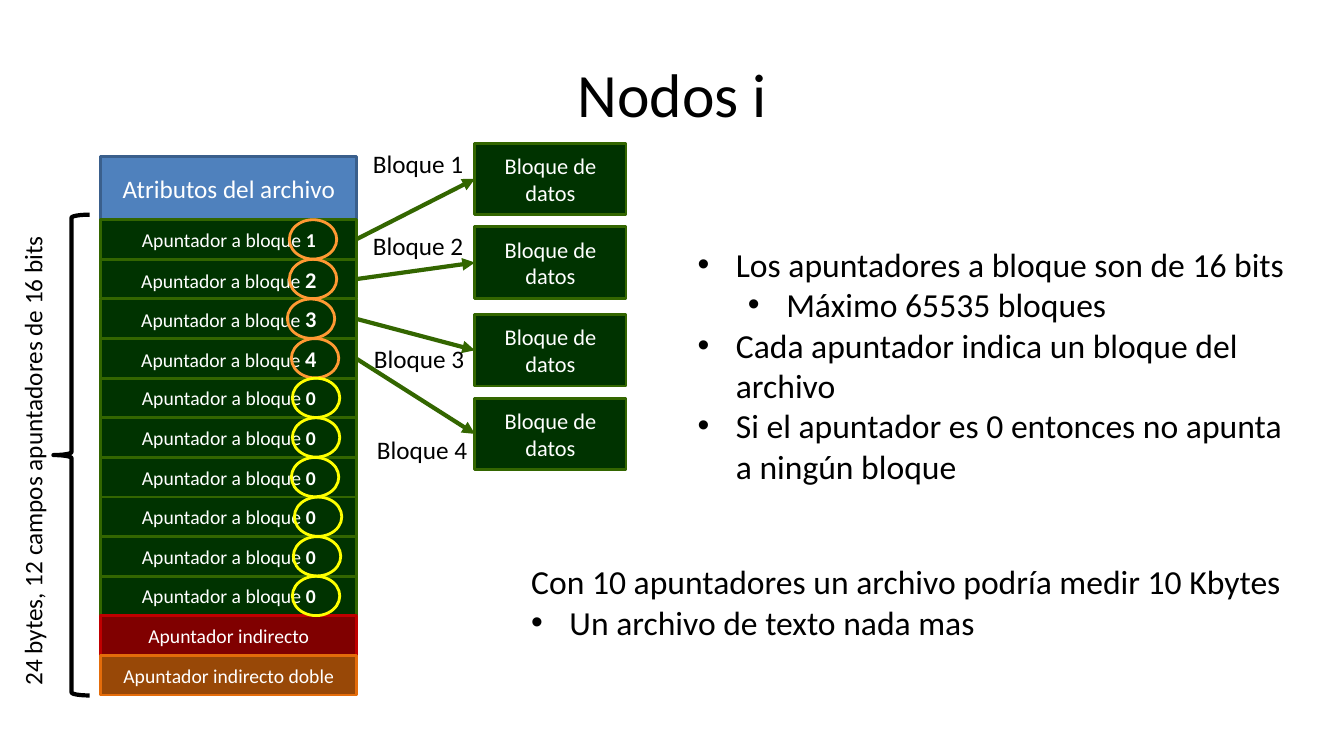
from pptx import Presentation
from pptx.dml.color import RGBColor
from pptx.enum.shapes import MSO_CONNECTOR, MSO_SHAPE
from pptx.enum.text import MSO_ANCHOR, PP_ALIGN
from pptx.oxml.ns import qn
from pptx.util import Inches, Pt
from lxml.etree import SubElement

FONT = "Calibri"
COLORS = {
    "black": "000000", "white": "FFFFFF",
    "blue": "4F81BD", "blue_line": "3A5F8C",
    "green": "003300", "green_line": "336600",
    "red": "800000", "red_line": "C00000",
    "brown": "984807", "brown_line": "E46C0A",
    "used": "FF9933", "empty": "FFFF00",
}
POINTERS = [1, 2, 3, 4, 0, 0, 0, 0, 0, 0]
ROW_HEIGHT = 0.393
HEADER_HEIGHT = 0.63
RING_OFFSETS = [1.87, 1.87, 1.85, 1.89, 1.9, 1.9, 1.89, 1.92, 1.91, 1.9]
DATA_BLOCK_TOPS = [0, 0.83, 1.7, 2.53]
LABEL_PLACES = [(0, 0), (0, 0.82), (0.01, 1.94), (0.04, 2.84)]


def color(name):
    return RGBColor.from_string(COLORS[name])


def add_run(paragraph, text, size, color_name="black", bold=False):
    run = paragraph.add_run()
    run.text = text
    run.font.name = FONT
    run.font.size = Pt(size)
    run.font.bold = bold
    run.font.color.rgb = color(color_name)


def add_outline(slide, kind, box, line, width=2):
    shape = slide.shapes.add_shape(kind, *[Inches(length) for length in box])
    shape.shadow.inherit = False
    shape.fill.background()
    shape.line.color.rgb = color(line)
    shape.line.width = Pt(width)
    return shape


def add_block(slide, box, fill, runs):
    shape = add_outline(slide, MSO_SHAPE.RECTANGLE, box, fill + "_line")
    shape.fill.solid()
    shape.fill.fore_color.rgb = color(fill)
    frame = shape.text_frame
    frame.word_wrap = True
    frame.vertical_anchor = MSO_ANCHOR.MIDDLE
    paragraph = frame.paragraphs[0]
    paragraph.alignment = PP_ALIGN.CENTER
    for text, size, bold in runs:
        add_run(paragraph, text, size, "white", bold)


def add_text(slide, box, lines, size, wrap=True):
    shape = slide.shapes.add_textbox(*[Inches(length) for length in box])
    frame = shape.text_frame
    frame.word_wrap = wrap
    for index, (text, level) in enumerate(lines):
        paragraph = frame.paragraphs[0] if index == 0 else frame.add_paragraph()
        if level is not None:
            add_bullet(paragraph, level)
        add_run(paragraph, text, size)
    return shape


def add_bullet(paragraph, level):
    paragraph.level = level
    properties = paragraph._p.get_or_add_pPr()
    properties.set("marL", str(Inches(0.38 + 0.5 * level)))
    properties.set("indent", str(-Inches(0.38)))
    SubElement(properties, qn("a:buFont")).set("typeface", "Arial")
    SubElement(properties, qn("a:buChar")).set("char", "•")


def add_arrow(slide, start, end):
    points = [Inches(length) for length in (*start, *end)]
    arrow = slide.shapes.add_connector(MSO_CONNECTOR.STRAIGHT, *points)
    arrow.line.color.rgb = color("green_line")
    arrow.line.width = Pt(3)
    SubElement(arrow.line._get_or_add_ln(), qn("a:tailEnd")).set("type", "triangle")
    SubElement(arrow._element.spPr, qn("a:effectLst"))


def add_title(slide, box):
    shape = add_text(slide, box, [("Nodos i", None)], 44)
    shape.text_frame.vertical_anchor = MSO_ANCHOR.MIDDLE
    shape.text_frame.paragraphs[0].alignment = PP_ALIGN.CENTER


def add_inode(slide, left, top, width):
    add_block(slide, (left, top, width, HEADER_HEIGHT), "blue",
              [("Atributos del archivo", 18, False)])
    rows = [("green", [("Apuntador a bloque ", 14, False),
                       (str(number), 16 if number > 1 else 14, True)])
            for number in POINTERS]
    rows.append(("red", [("Apuntador indirecto", 14, False)]))
    rows.append(("brown", [("Apuntador indirecto doble", 14, False)]))
    for index, (fill, runs) in enumerate(rows):
        row_top = top + HEADER_HEIGHT + index * ROW_HEIGHT
        add_block(slide, (left, row_top, width, ROW_HEIGHT), fill, runs)


def add_rings(slide, left, top):
    for index, (number, offset) in enumerate(zip(POINTERS, RING_OFFSETS)):
        box = (left + offset, top + index * ROW_HEIGHT, 0.47, 0.39)
        add_outline(slide, MSO_SHAPE.OVAL, box, "used" if number else "empty")


def add_data_blocks(slide, left, top, pointer_right, pointer_top):
    width, height = 1.5, 0.71
    for index, offset in enumerate(DATA_BLOCK_TOPS):
        block_top = top + offset
        add_block(slide, (left, block_top, width, height), "green",
                  [("Bloque de datos", 16, False)])
        add_arrow(slide, (pointer_right, pointer_top + (index + 0.5) * ROW_HEIGHT),
                  (left, block_top + height / 2))
    for number, (across, down) in enumerate(LABEL_PLACES, 1):
        add_text(slide, (left - 1.11 + across, top + down, 1.11, 0.4),
                 [(f"Bloque {number}", None)], 18, wrap=False)


def add_size_note(slide, left, top, height):
    add_outline(slide, MSO_SHAPE.LEFT_BRACE, (left, top, 0.36, height), "black", 3)
    note = add_text(slide, (left - 2.65, top + 2.13, 4.88, 0.4),
                    [("24 bytes, 12 campos apuntadores de 16 bits", None)], 18)
    note.rotation = 270


def add_explanations(slide, left, top):
    add_text(slide, (left + 1.65, top, 6.22, 2.52), [
        ("Los apuntadores a bloque son de 16 bits", 0),
        ("Máximo 65535 bloques", 1),
        ("Cada apuntador indica un bloque del archivo", 0),
        ("Si el apuntador es 0 entonces no apunta a ningún bloque", 0),
    ], 24)
    add_text(slide, (left, top + 3.15, 7.7, 0.91), [
        ("Con 10 apuntadores un archivo podría medir 10 Kbytes", None),
        ("Un archivo de texto nada mas", 0),
    ], 24, wrap=False)


def main():
    presentation = Presentation()
    presentation.slide_width = Inches(13.33)
    presentation.slide_height = Inches(7.5)
    slide = presentation.slides.add_slide(presentation.slide_layouts[6])
    add_title(slide, (0.67, 0.3, 12, 1.25))
    add_inode(slide, 1, 1.55, 2.54)
    add_data_blocks(slide, 4.71, 1.42, 3.53, 2.18)
    add_size_note(slide, 0.53, 2.13, 4.77)
    add_rings(slide, 1, 2.18)
    add_explanations(slide, 5.17, 2.37)
    presentation.save("out.pptx")


if __name__ == "__main__":
    main()
